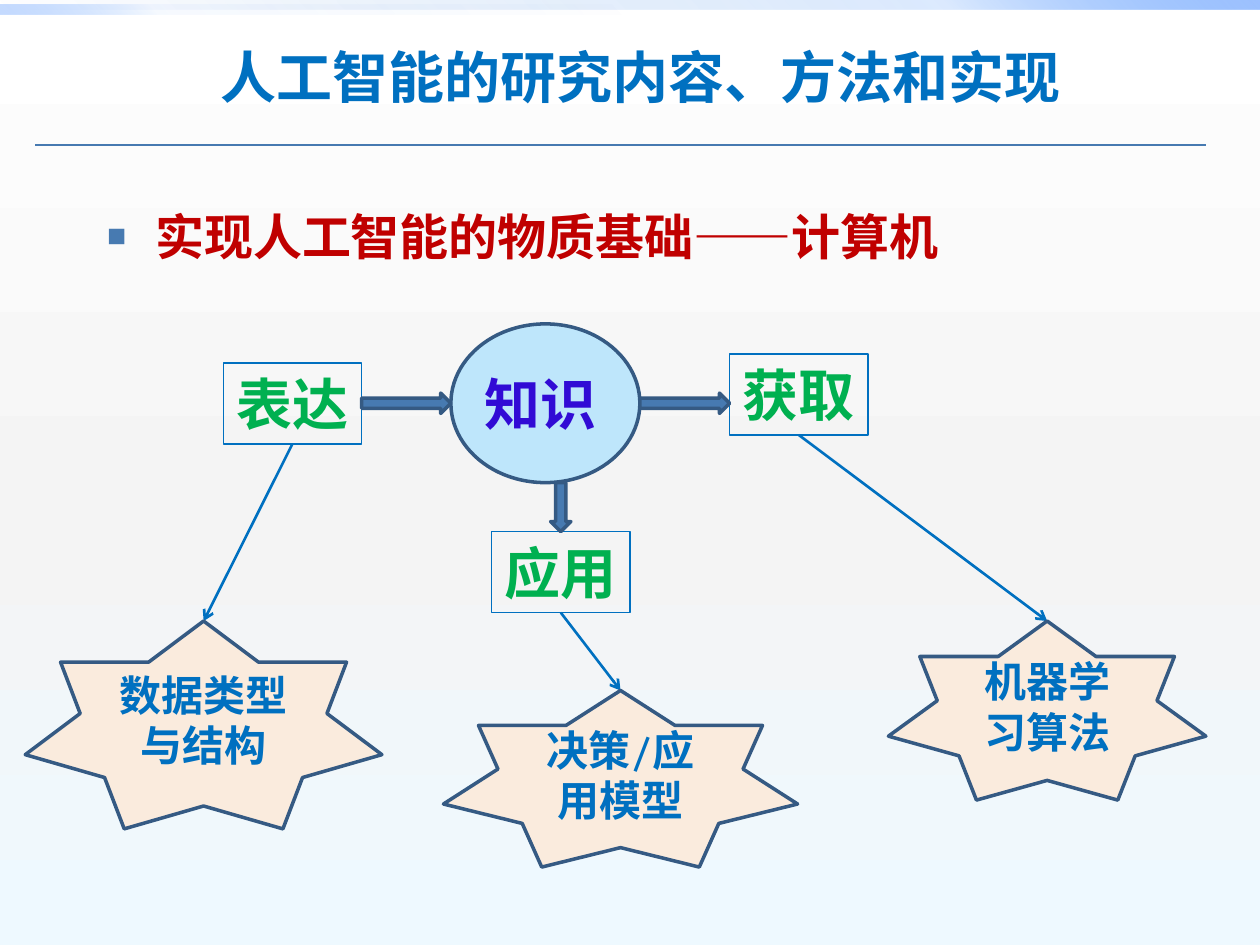
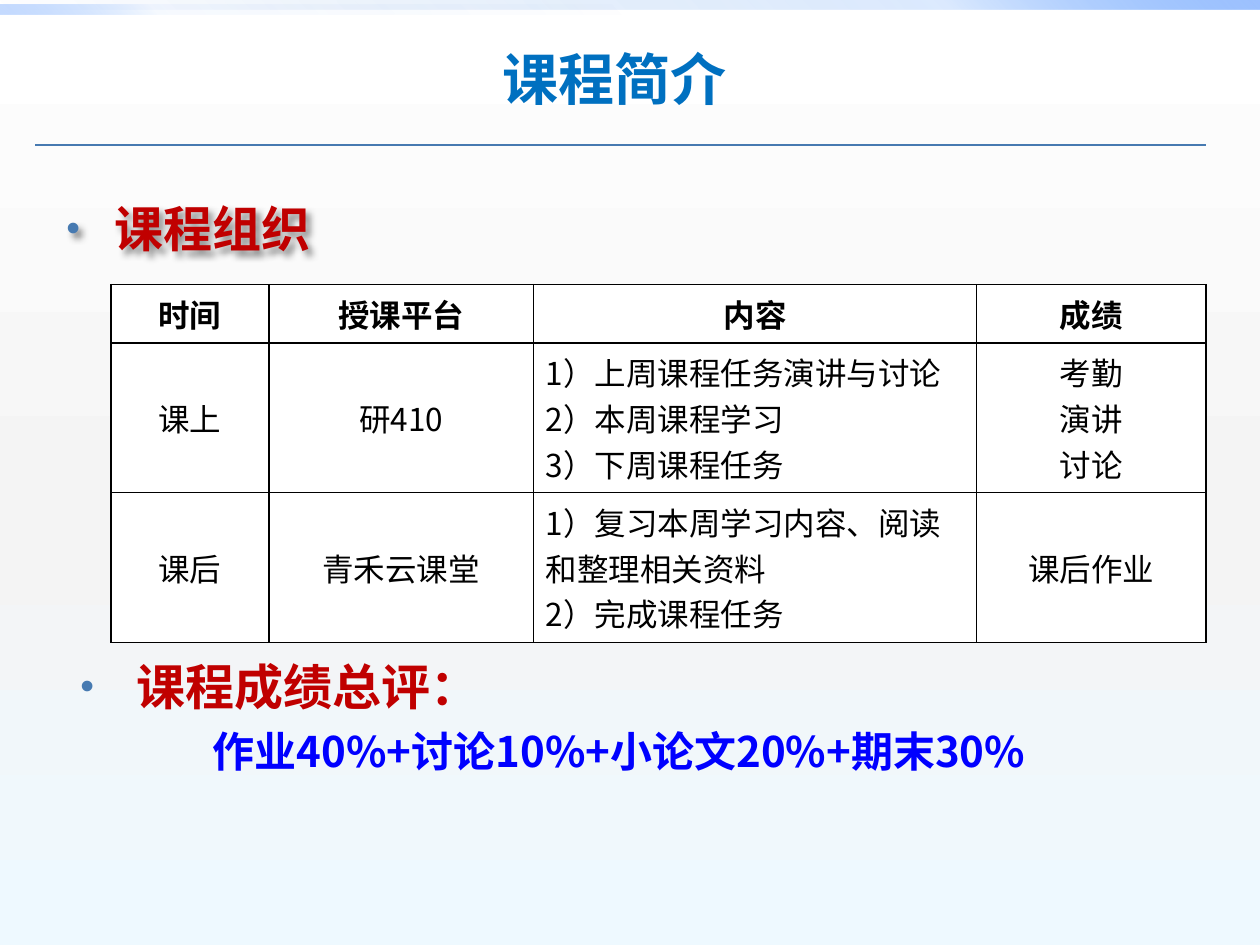
from collections import namedtuple

from lxml import etree
from pptx import Presentation
from pptx.dml.color import RGBColor
from pptx.enum.shapes import MSO_CONNECTOR, MSO_SHAPE
from pptx.enum.text import MSO_ANCHOR, PP_ALIGN
from pptx.oxml import parse_xml
from pptx.oxml.ns import nsdecls, qn
from pptx.util import Cm, Pt

LEFT, CENTER = PP_ALIGN.LEFT, PP_ALIGN.CENTER
TOP, MIDDLE, BOTTOM = MSO_ANCHOR.TOP, MSO_ANCHOR.MIDDLE, MSO_ANCHOR.BOTTOM
RECTANGLE, OVAL, STAR = MSO_SHAPE.RECTANGLE, MSO_SHAPE.OVAL, MSO_SHAPE.STAR_7_POINT
RIGHT_ARROW, DOWN_ARROW = MSO_SHAPE.RIGHT_ARROW, MSO_SHAPE.DOWN_ARROW
STRAIGHT = MSO_CONNECTOR.STRAIGHT


class Theme:
    blue, steel, navy = "0070C0", "477AB1", "355A83"
    red, green, indigo, formula = "C00000", "00B050", "310BD5", "0000FF"
    sky, peach, white, black = "BEE6FB", "FAEBDD", "FFFFFF", "000000"
    # gradient stops: position %, colour, opacity %
    background = [(0, "FFFFFF", 100), (55, "F4F4F4", 100), (100, "EEF9FF", 100)]
    upper_band = [(0, "0058B7", 0), (75, "4F95FF", 20), (100, "9EC2FF", 100)]
    lower_band = [(0, "0058B7", 0), (75, "4F95FF", 5), (100, "9EC2FF", 60)]
    sans, serif, latin, formula_font = "Noto Sans CJK SC", "Cambria", "Arial", "Noto Sans CJK JP"
    title, heading, body, cell = 32, 28, 24, 18


class Box(namedtuple("Box", "left top width height")):
    """A rectangle in centimetres."""

    @property
    def right(self):
        return self.left + self.width

    @property
    def bottom(self):
        return self.top + self.height

    @property
    def mid_x(self):
        return self.left + self.width / 2

    @property
    def mid_y(self):
        return self.top + self.height / 2

    def lengths(self):
        return [Cm(value) for value in self]


# Content
RESEARCH_TITLE = ("人工智能的研究内容、方法和实现", Box(3.38, 0.71, 19.08, 1.65))
RESEARCH_POINT = ("实现人工智能的物质基础——计算机", Box(1.91, 3.33, 20.83, 2.01))
KNOWLEDGE = Box(9.09, 6.53, 3.81, 3.2)
KNOWLEDGE_LABEL = ("知识", Box(9.5, 7.32, 2.79, 1.63))
# aspect of knowledge, its box, what realises it, that star's box
ASPECTS = [
    ("表达", Box(4.5, 7.32, 2.79, 1.63), "数据类型与结构", Box(0.51, 12.52, 7.19, 4.19)),
    ("获取", Box(14.71, 7.14, 2.79, 1.63), "机器学习算法", Box(17.91, 12.52, 6.4, 3.61)),
    ("应用", Box(9.91, 10.72, 2.79, 1.63), "决策/应用模型", Box(8.94, 13.92, 7.14, 3.56)),
]
ARROW_THICKNESS = 0.41

COURSE_TITLE = ("课程简介", Box(4.7, 0.74, 15.39, 1.65))
ORGANISATION = ("课程组织", Box(1.09, 3.73, 23.06, 1.45))
GRADING = ("课程成绩总评：", "作业40%+讨论10%+小论文20%+期末30%")
GRADING_BOX = Box(1.37, 13.23, 23.8, 3.15)
SCHEDULE = [
    ("时间", "授课平台", "内容", "成绩"),
    ("课上", "研410", "1）上周课程任务演讲与讨论\n2）本周课程学习\n3）下周课程任务",
     "考勤\n演讲\n讨论"),
    ("课后", "青禾云课堂", "1）复习本周学习内容、阅读和整理相关资料\n2）完成课程任务", "课后作业"),
]
SCHEDULE_CORNER = (2.24, 5.74)
SCHEDULE_COLUMNS = (3.18, 5.33, 8.94, 4.62)
SCHEDULE_ROWS = (1.17, 3.02, 3.02)
DETAIL_COLUMN = 2


def rgb(colour):
    return RGBColor.from_string(colour)


def fill_gradient(fill, holder, stops, angle):
    """Swap the solid fill under holder for a linear gradient."""
    fill.solid()
    fill.fore_color.rgb = rgb(Theme.white)
    solid = next(holder.iter(qn("a:solidFill")))
    marks = "".join(
        f'<a:gs pos="{pos * 1000}"><a:srgbClr val="{colour}">'
        f'<a:alpha val="{opacity * 1000}"/></a:srgbClr></a:gs>'
        for pos, colour, opacity in stops)
    solid.getparent().replace(solid, parse_xml(
        f'<a:gradFill {nsdecls("a")} rotWithShape="1"><a:gsLst>{marks}</a:gsLst>'
        f'<a:lin ang="{angle * 60000}" scaled="0"/></a:gradFill>'))


def style(paragraph, size, colour, font, bold=True, align=LEFT):
    paragraph.alignment = align
    for run in paragraph.runs:
        run.font.size, run.font.bold, run.font.name = Pt(size), bold, font
        run.font.color.rgb = rgb(colour)
        asian = font if "CJK" in font else Theme.sans
        etree.SubElement(run._r.get_or_add_rPr(), qn("a:ea"), typeface=asian)


def add_shape(slide, kind, box, fill=None, line=None, width=2.0):
    shape = slide.shapes.add_shape(kind, *box.lengths())
    shape.shadow.inherit = False
    if fill:
        shape.fill.solid()
        shape.fill.fore_color.rgb = rgb(fill)
    else:
        shape.fill.background()
    if line:
        shape.line.color.rgb = rgb(line)
        shape.line.width = Pt(width)
    else:
        shape.line.fill.background()
    return shape


def add_line(slide, start, end, colour, width, arrow=False):
    line = slide.shapes.add_connector(STRAIGHT, *(Cm(v) for v in (*start, *end)))
    line.line.color.rgb = rgb(colour)
    line.line.width = Pt(width)
    if arrow:
        etree.SubElement(line.line._get_or_add_ln(), qn("a:tailEnd"), type="arrow")
    etree.SubElement(line._element.spPr, qn("a:effectLst"))


def write(shape, text, *look, anchor=MIDDLE, wrap=True, **options):
    frame = shape.text_frame
    frame.word_wrap, frame.vertical_anchor = wrap, anchor
    frame.text = text
    for paragraph in frame.paragraphs:
        style(paragraph, *look, **options)
    return frame


def add_bullet(paragraph, char, percent, indent=0.97):
    props = paragraph._p.get_or_add_pPr()
    props.set("marL", str(Cm(indent)))
    props.set("indent", str(-Cm(indent)))
    colour = etree.SubElement(props, qn("a:buClr"))
    etree.SubElement(colour, qn("a:srgbClr"), val=Theme.steel)
    etree.SubElement(props, qn("a:buSzPct"), val=str(percent * 1000))
    etree.SubElement(props, qn("a:buFont"), typeface=Theme.latin)
    etree.SubElement(props, qn("a:buChar"), char=char)


def add_heading(slide, text, box, char, percent, anchor=BOTTOM, **indent):
    shape = slide.shapes.add_textbox(*box.lengths())
    frame = write(shape, text, Theme.heading, Theme.red, Theme.latin, anchor=anchor)
    frame.margin_top = frame.margin_bottom = 0
    add_bullet(frame.paragraphs[0], char, percent, **indent)
    return shape


def start_slide(deck, title, title_box):
    """Add a slide with the shared background, bands, title and rule."""
    slide = deck.slides.add_slide(deck.slide_layouts[6])
    fill_gradient(slide.background.fill, slide._element, Theme.background, 90)
    for box, stops, angle in ((Box(0, 0, 25.4, 0.2), Theme.upper_band, 315),
                              (Box(0, 0.1, 12.7, 0.2), Theme.lower_band, 135)):
        band = add_shape(slide, RECTANGLE, box)
        fill_gradient(band.fill, band._element.spPr, stops, angle)
    write(slide.shapes.add_textbox(*title_box.lengths()), title,
          Theme.title, Theme.blue, Theme.sans, align=CENTER)
    add_line(slide, (0.71, 2.92), (24.31, 2.92), Theme.steel, 1)
    return slide


def add_label(slide, text, box, colour, border=None):
    label = add_shape(slide, RECTANGLE, box, line=border, width=0.75)
    write(label, text, Theme.title, colour, Theme.serif, wrap=False, align=CENTER)


def block_arrow(aspect):
    """Shape kind and box of the arrow joining an aspect and the knowledge oval."""
    if aspect.top >= KNOWLEDGE.bottom:
        return DOWN_ARROW, Box(aspect.mid_x - ARROW_THICKNESS / 2, KNOWLEDGE.bottom,
                               ARROW_THICKNESS, aspect.top - KNOWLEDGE.bottom)
    first, second = sorted((aspect, KNOWLEDGE))
    return RIGHT_ARROW, Box(first.right, KNOWLEDGE.mid_y - ARROW_THICKNESS / 2,
                            second.left - first.right, ARROW_THICKNESS)


def build_research(deck):
    slide = start_slide(deck, *RESEARCH_TITLE)
    point = add_heading(slide, *RESEARCH_POINT, "■", 65)
    point.text_frame.paragraphs[0].line_spacing = 1.5
    add_shape(slide, OVAL, KNOWLEDGE, Theme.sky, Theme.navy)
    add_label(slide, *KNOWLEDGE_LABEL, Theme.indigo)
    for aspect, box, realisation, star_box in ASPECTS:
        add_label(slide, aspect, box, Theme.green, Theme.blue)
        add_shape(slide, *block_arrow(box), Theme.steel, Theme.navy)
        add_line(slide, (box.mid_x, box.bottom), (star_box.mid_x, star_box.top),
                 Theme.blue, 1.5, arrow=True)
        star = add_shape(slide, STAR, star_box, Theme.peach, Theme.navy)
        write(star, realisation, Theme.body, Theme.blue, Theme.serif, align=CENTER)


def style_cell(cell, header, align):
    cell.vertical_anchor = MIDDLE
    props = cell._tc.get_or_add_tcPr()
    for side in ("a:lnL", "a:lnR", "a:lnT", "a:lnB"):
        border = etree.SubElement(props, qn(side), w=str(Pt(1)))
        solid = etree.SubElement(border, qn("a:solidFill"))
        etree.SubElement(solid, qn("a:srgbClr"), val=Theme.black)
    cell.fill.solid()
    cell.fill.fore_color.rgb = rgb(Theme.white)
    font = Theme.serif if header else Theme.sans
    for paragraph in cell.text_frame.paragraphs:
        style(paragraph, Theme.cell, Theme.black, font, bold=header, align=align)


def add_schedule(slide):
    box = Box(*SCHEDULE_CORNER, sum(SCHEDULE_COLUMNS), sum(SCHEDULE_ROWS))
    table = slide.shapes.add_table(len(SCHEDULE), len(SCHEDULE[0]), *box.lengths()).table
    for column, width in zip(table.columns, SCHEDULE_COLUMNS):
        column.width = Cm(width)
    for row, height in zip(table.rows, SCHEDULE_ROWS):
        row.height = Cm(height)
    for r, texts in enumerate(SCHEDULE):
        for c, text in enumerate(texts):
            cell = table.cell(r, c)
            cell.text = text
            style_cell(cell, r == 0, LEFT if r and c == DETAIL_COLUMN else CENTER)


def build_course(deck):
    slide = start_slide(deck, *COURSE_TITLE)
    heading, formula = GRADING
    grading = add_heading(slide, heading, GRADING_BOX, "•", 80, anchor=TOP, indent=1.14)
    paragraph = grading.text_frame.add_paragraph()
    paragraph.text = formula
    paragraph.space_before = Pt(6)
    style(paragraph, Theme.body, Theme.formula, Theme.formula_font)
    paragraph._p.get_or_add_pPr().set("marL", str(Cm(2.67)))

    organisation = add_heading(slide, *ORGANISATION, "•", 80)
    organisation._element.spPr.append(parse_xml(
        f'<a:effectLst {nsdecls("a")}><a:outerShdw blurRad="{Pt(4)}" dist="{Pt(4)}" '
        'dir="2700000" algn="tl"><a:srgbClr val="000000"><a:alpha val="43000"/>'
        '</a:srgbClr></a:outerShdw></a:effectLst>'))
    add_schedule(slide)


def main():
    deck = Presentation()
    deck.slide_width, deck.slide_height = Cm(25.4), Cm(19.05)
    build_research(deck)
    build_course(deck)
    deck.save("out.pptx")


if __name__ == "__main__":
    main()
